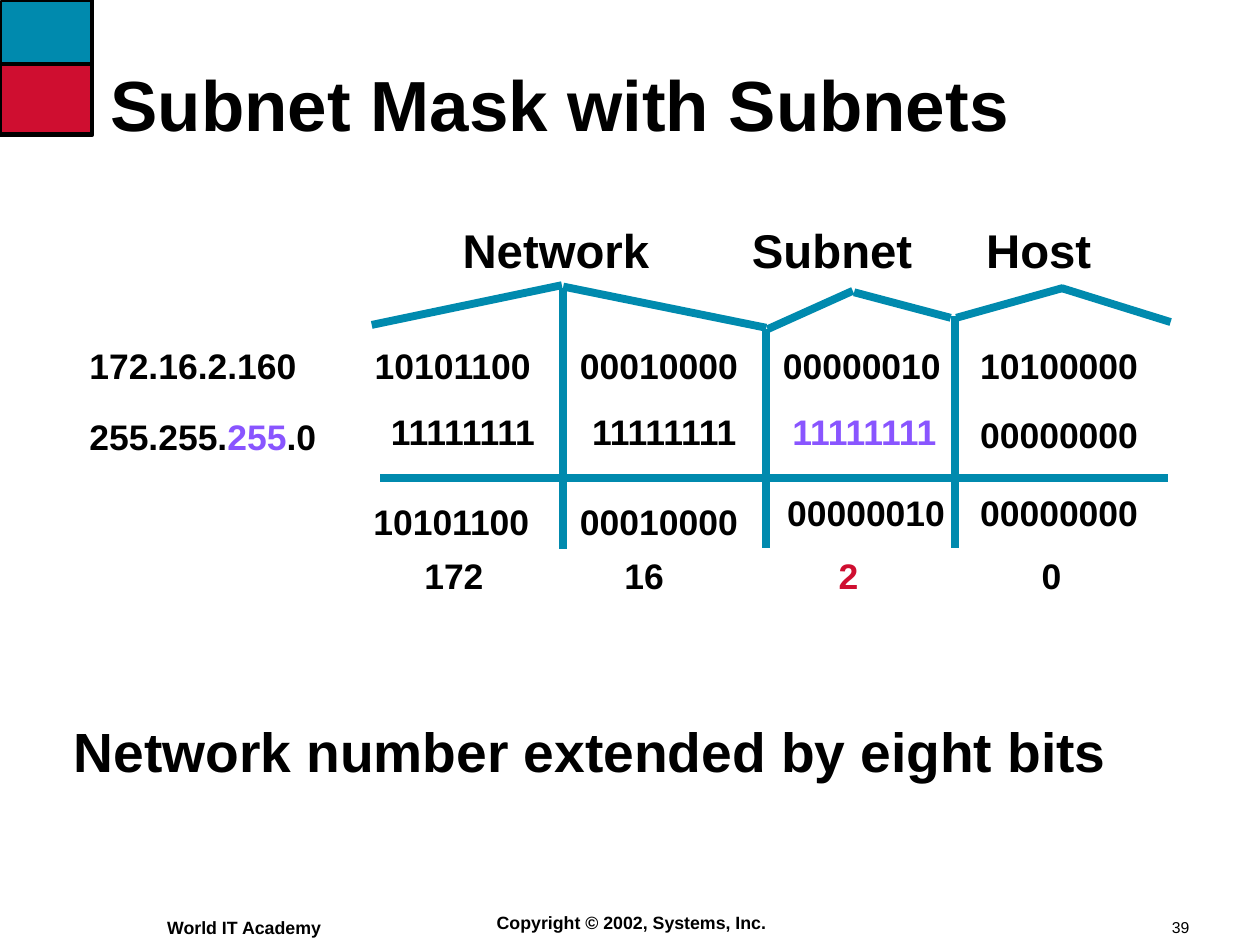
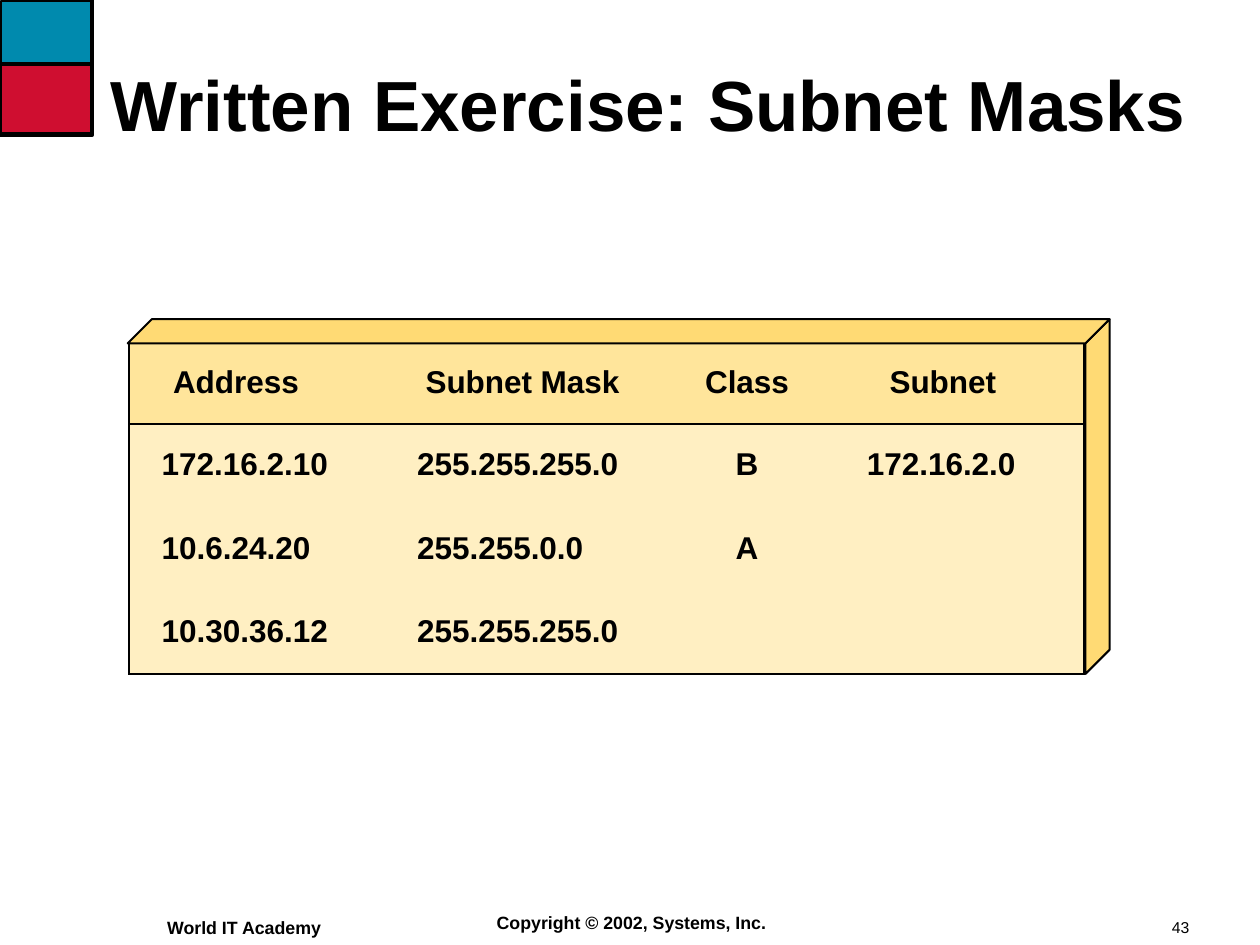
from lxml.etree import SubElement
from pptx import Presentation
from pptx.dml.color import RGBColor
from pptx.enum.shapes import MSO_CONNECTOR, MSO_SHAPE
from pptx.enum.text import MSO_ANCHOR as ANCHOR, MSO_AUTO_SIZE, PP_ALIGN as ALIGN
from pptx.oxml.ns import qn
from pptx.util import Inches, Pt

FONT = "Arial"
HEX = {
    "black": "000000", "teal": "008AAE", "red": "CF0E30", "violet": "8955FF",
    "cream": "FFEFC2", "header": "FFE59B", "edge": "FFDA74",
}
COLORS = {name: RGBColor.from_string(value) for name, value in HEX.items()}


def place_text(shape, box, runs, size, align=ALIGN.LEFT, spacing=None,
               margins=(0.02, 0.03), anchor=ANCHOR.TOP, bold=True):
    shape.left, shape.top, shape.width, shape.height = [Inches(n) for n in box]
    frame = shape.text_frame
    frame.word_wrap = True
    frame.auto_size = MSO_AUTO_SIZE.NONE
    frame.vertical_anchor = anchor
    frame.margin_left = frame.margin_right = Inches(margins[0])
    frame.margin_top = frame.margin_bottom = Inches(margins[1])
    paragraph = frame.paragraphs[0]
    paragraph.alignment = align
    paragraph.line_spacing = spacing
    paragraph.space_before = Pt(0)
    for text, color in runs:
        run = paragraph.add_run()
        run.text = text
        run.font.name = FONT
        run.font.size = Pt(size)
        run.font.bold = bold
        run.font.color.rgb = COLORS[color]


def add_line(slide, start, end, color, width):
    line = slide.shapes.add_connector(
        MSO_CONNECTOR.STRAIGHT, *[Inches(n) for n in start + end])
    line.line.color.rgb = COLORS[color]
    line.line.width = Pt(width)
    SubElement(line.element.spPr, qn("a:effectLst"))
    return line


presentation = Presentation()
presentation.slide_width = Inches(8.88)
presentation.slide_height = Inches(6.66)
layouts = presentation.slide_layouts
mask_slide = presentation.slides.add_slide(layouts[1])
exercise_slide = presentation.slides.add_slide(layouts[5])

shared = []
for top, height, color in [(0.01, 0.68, "teal"), (0.46, 0.48, "red")]:
    block = mask_slide.shapes.add_shape(
        MSO_SHAPE.RECTANGLE, Inches(0.01), Inches(top), Inches(0.63), Inches(height))
    block.shadow.inherit = False
    block.fill.solid()
    block.fill.fore_color.rgb = COLORS[color]
    block.line.color.rgb = COLORS["black"]
    block.line.width = Pt(1)
    shared.append(block)
shared.append(add_line(mask_slide, (0.65, 0.45), (0, 0.45), "black", 2))
builder = mask_slide.shapes.build_freeform(0, Inches(0.95))
builder.add_line_segments(
    [(Inches(0.65), Inches(0.95)), (Inches(0.65), 0)], close=False)
corner = builder.convert_to_shape()
corner.shadow.inherit = False
corner.fill.background()
corner.line.color.rgb = COLORS["black"]
corner.line.width = Pt(2)
shared.append(corner)
for text, box, align in [
    ("Copyright © 2002, Systems, Inc.", (3.25, 6.38, 2.4, 0.24), ALIGN.CENTER),
    ("World IT Academy", (1.08, 6.41, 1.5, 0.25), ALIGN.LEFT),
]:
    footer = mask_slide.shapes.add_textbox(0, 0, 0, 0)
    place_text(footer, box, [(text, "black")], 9, align, margins=(0.1, 0.05))
    shared.append(footer)
for number, shape in enumerate(shared, start=20):
    shape.element.xpath(".//p:cNvPr")[0].set("id", str(number))
    presentation.slide_master.shapes.element.append(shape.element)

for slide, title, page in [
    (mask_slide, "Subnet Mask with Subnets", "39"),
    (exercise_slide, "Written Exercise: Subnet Masks", "43"),
]:
    place_text(slide.shapes.title, (0.7, 0.21, 7.74, 1.11), [(title, "black")], 36,
               spacing=0.9, margins=(0.08, 0.04), anchor=ANCHOR.MIDDLE)
    place_text(slide.shapes.add_textbox(0, 0, 0, 0), (8.18, 6.43, 0.67, 0.21),
               [(page, "black")], 8, margins=(0.08, 0.04), bold=False)

body = mask_slide.placeholders[1]
properties = body.text_frame.paragraphs[0]._p.get_or_add_pPr()
properties.set("marL", "0")
properties.set("indent", "0")
SubElement(properties, qn("a:buNone"))
place_text(body, (0.44, 5, 7.99, 0.62),
           [("Network number extended by eight bits", "black")], 28,
           spacing=0.95, margins=(0.08, 0.04), anchor=ANCHOR.MIDDLE)

for start, end in [
    ((3.97, 2.03), (3.97, 3.87)), ((2.68, 3.37), (8.23, 3.37)),
    ((5.4, 2.32), (5.4, 3.86)), ((6.73, 2.23), (6.73, 3.86)),
    ((2.62, 2.29), (3.96, 2.01)), ((3.97, 2.02), (5.4, 2.31)),
    ((5.41, 2.32), (6.01, 2.05)), ((6.02, 2.06), (6.7, 2.24)),
    ((6.74, 2.24), (7.49, 2.03)), ((7.48, 2.03), (8.25, 2.27)),
]:
    add_line(mask_slide, start, end, "teal", 4)

for text, left in [("Network", 3.24), ("Subnet", 5.28), ("Host", 6.93)]:
    place_text(mask_slide.shapes.add_textbox(0, 0, 0, 0), (left, 1.54, 1.7, 0.61),
               [(text, "black")], 24, spacing=Pt(28))

for left, top, runs in [
    (0.61, 2.4, [("172.16.2.160", "black")]),
    (0.61, 2.9, [("255.255.", "black"), ("255", "violet"), (".0", "black")]),
    (2.97, 3.88, [("172", "black")]),
    (4.38, 3.88, [("16", "black")]),
    (5.89, 3.88, [("2", "red")]),
    (7.32, 3.88, [("0", "black")]),
]:
    width = 2.07 if left < 1 else 0.72
    place_text(mask_slide.shapes.add_textbox(0, 0, 0, 0), (left, top, width, 0.51),
               runs, 18, spacing=Pt(21))

octet_rows = [
    (19, [("10101100", 3.76, 2.43), ("00010000", 5.22, 2.43),
          ("00000010", 6.65, 2.43), ("10100000", 8.04, 2.43)]),
    (18, [("11111111", 3.79, 2.91), ("11111111", 5.21, 2.91),
          ("11111111", 6.62, 2.91), ("00000000", 8.04, 2.93)]),
    (21, [("10101100", 3.75, 3.5), ("00010000", 5.22, 3.5),
          ("00000010", 6.68, 3.44), ("00000000", 8.04, 3.44)]),
]
for spacing, octets in octet_rows:
    for column, (text, right, top) in enumerate(octets):
        color = "violet" if spacing == 18 and column == 2 else "black"
        place_text(mask_slide.shapes.add_textbox(0, 0, 0, 0),
                   (right - 1.3, top, 1.3, 0.4), [(text, color)], 18,
                   ALIGN.RIGHT, Pt(spacing))

table_rows = [
    ("Address", "Subnet Mask", "Class", "Subnet"),
    ("172.16.2.10", "255.255.255.0", "B", "172.16.2.0"),
    ("10.6.24.20", "255.255.0.0", "A", ""),
    ("10.30.36.12", "255.255.255.0", "", ""),
]
column_widths = [1.93, 1.7, 1.45, 1.65]
header_margins = [0.31, 0.16, 0, 0.28]
body_margins = [0.23, 0.1, 0, 0.12]
table = exercise_slide.shapes.add_table(
    4, 4, Inches(0.91), Inches(2.42), Inches(6.73), Inches(2.33)).table
table.first_row = table.horz_banding = False
for column, width in zip(table.columns, column_widths):
    column.width = Inches(width)
for index, row in enumerate(table.rows):
    row.height = Inches(1.76 / 3 if index else 0.57)

for row, texts in enumerate(table_rows):
    for column, text in enumerate(texts):
        cell = table.cell(row, column)
        cell.vertical_anchor = ANCHOR.MIDDLE
        cell.margin_left = Inches((body_margins if row else header_margins)[column])
        cell.margin_right = Inches(0)
        cell_properties = cell._tc.get_or_add_tcPr()
        borders = {"lnL": column == 0, "lnR": column == 3,
                   "lnT": row < 2, "lnB": row in (0, 3)}
        for side, visible in borders.items():
            border = SubElement(cell_properties, qn("a:" + side), w=str(Pt(1)))
            fill = SubElement(border, qn("a:solidFill" if visible else "a:noFill"))
            if visible:
                SubElement(fill, qn("a:srgbClr"), val=HEX["black"])
        cell.fill.solid()
        cell.fill.fore_color.rgb = COLORS["cream" if row else "header"]
        if text:
            paragraph = cell.text_frame.paragraphs[0]
            paragraph.alignment = ALIGN.CENTER if column == 2 else ALIGN.LEFT
            paragraph.line_spacing = 0.95
            run = paragraph.add_run()
            run.text = text
            run.font.name = FONT
            run.font.size = Pt(16)
            run.font.bold = True
            run.font.color.rgb = COLORS["black"]

for outline in [
    [(7.82, 2.25), (7.65, 2.42), (7.65, 4.75), (7.82, 4.58)],
    [(0.9, 2.42), (1.07, 2.25), (7.82, 2.25), (7.65, 2.42)],
]:
    points = [(Inches(x), Inches(y)) for x, y in outline]
    builder = exercise_slide.shapes.build_freeform(*points[0])
    builder.add_line_segments(points[1:], close=True)
    edge = builder.convert_to_shape()
    edge.shadow.inherit = False
    edge.fill.solid()
    edge.fill.fore_color.rgb = COLORS["edge"]
    edge.line.color.rgb = COLORS["black"]
    edge.line.width = Pt(1)

presentation.save("out.pptx")
